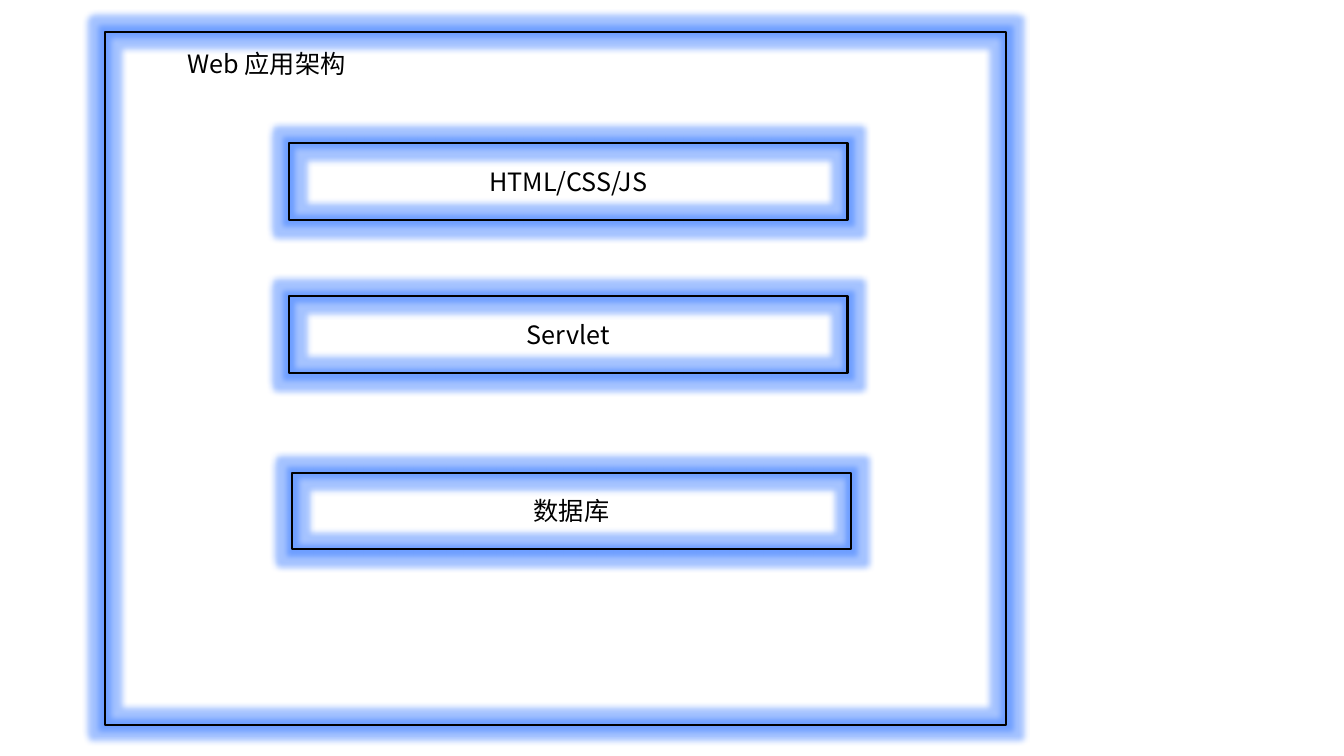
from dataclasses import dataclass

from lxml import etree
from pptx import Presentation
from pptx.dml.color import RGBColor
from pptx.enum.shapes import MSO_SHAPE
from pptx.enum.text import MSO_ANCHOR, MSO_AUTO_SIZE, PP_ALIGN
from pptx.oxml.ns import qn
from pptx.shapes.autoshape import Shape
from pptx.slide import Slide
from pptx.util import Cm, Pt

RECTANGLE = MSO_SHAPE.RECTANGLE
TOP, MIDDLE = MSO_ANCHOR.TOP, MSO_ANCHOR.MIDDLE
LEFT, CENTER = PP_ALIGN.LEFT, PP_ALIGN.CENTER
FIT_SHAPE = MSO_AUTO_SIZE.SHAPE_TO_FIT_TEXT
NO_FIT = MSO_AUTO_SIZE.NONE


@dataclass(frozen=True)
class Theme:
    ink: RGBColor = RGBColor(0, 0, 0)
    glow: str = "1E69FF"
    glow_alpha: int = 40
    glow_radius: float = 8
    font: str = "Noto Sans CJK SC"
    text_size: float = 18
    line_width: float = 1.5


@dataclass(frozen=True)
class Area:
    left: float
    top: float
    width: float
    height: float


@dataclass(frozen=True)
class Layer:
    text: str
    left: float
    top: float


THEME = Theme()
FRAME = Area(2.64, 0.81, 22.71, 17.45)
TITLE = Area(4.47, 1.09, 4.72, 1.02)
LAYER_WIDTH, LAYER_HEIGHT = 14.07, 1.93
LAYERS = (
    Layer("HTML/CSS/JS", 7.29, 3.61),
    Layer("Servlet", 7.29, 7.47),
    Layer("数据库", 7.37, 11.91),
)
TITLE_FORMAT = {"word_wrap": False, "auto_size": FIT_SHAPE, "vertical_anchor": TOP}
LAYER_FORMAT = {"word_wrap": True, "auto_size": NO_FIT, "vertical_anchor": MIDDLE}


def place(shape: Shape, area: Area) -> None:
    for name in ("left", "top", "width", "height"):
        setattr(shape, name, Cm(getattr(area, name)))


def write(shape: Shape, text: str, frame_format: dict, alignment: PP_ALIGN) -> None:
    for name, value in frame_format.items():
        setattr(shape.text_frame, name, value)
    para = shape.text_frame.paragraphs[0]
    para.alignment = alignment
    span = para.add_run()
    span.text = text
    for name, value in {"name": THEME.font, "size": Pt(THEME.text_size)}.items():
        setattr(span.font, name, value)
    span.font.color.rgb = THEME.ink
    east_asian = etree.SubElement(span.font._element, qn("a:ea"))
    east_asian.set("typeface", THEME.font)


def add_glow(shape: Shape) -> None:
    shape.shadow.inherit = False
    effects = shape._element.spPr.find(qn("a:effectLst"))
    glow = etree.SubElement(effects, qn("a:glow"), rad=str(Pt(THEME.glow_radius)))
    color = etree.SubElement(glow, qn("a:srgbClr"), val=THEME.glow)
    etree.SubElement(color, qn("a:alpha"), val=str(THEME.glow_alpha * 1000))


def add_glowing_box(page: Slide, area: Area) -> Shape:
    box = page.shapes.add_shape(RECTANGLE, 0, 0, 0, 0)
    place(box, area)
    box.fill.background()
    box.line.color.rgb = THEME.ink
    box.line.width = Pt(THEME.line_width)
    add_glow(box)
    return box


def main() -> None:
    deck = Presentation()
    deck.slide_width, deck.slide_height = Cm(33.87), Cm(19.05)
    page = deck.slides.add_slide(deck.slide_layouts.get_by_name("Title Only"))
    title = page.shapes.title
    place(title, TITLE)
    write(title, "Web 应用架构", TITLE_FORMAT, LEFT)
    add_glowing_box(page, FRAME)
    for layer in LAYERS:
        area = Area(layer.left, layer.top, LAYER_WIDTH, LAYER_HEIGHT)
        write(add_glowing_box(page, area), layer.text, LAYER_FORMAT, CENTER)
    deck.save("out.pptx")


if __name__ == "__main__":
    main()
